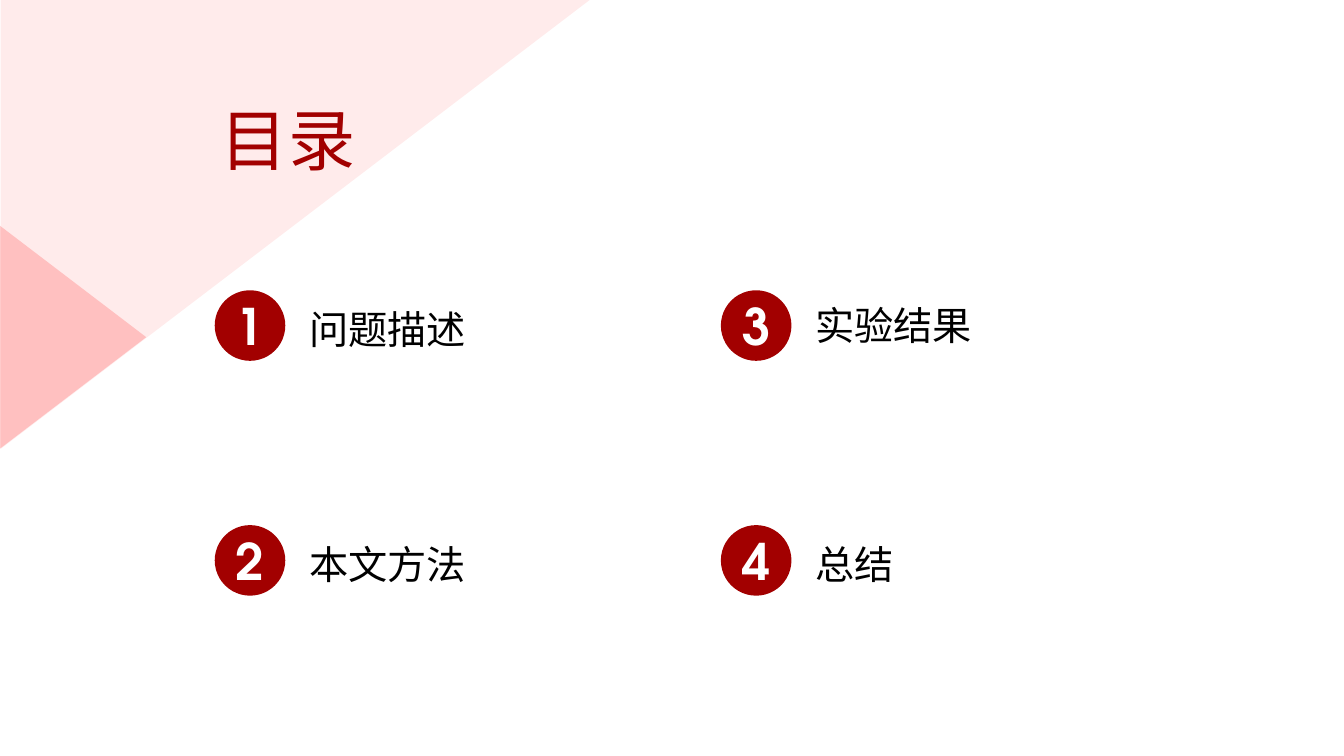
from lxml.etree import SubElement
from pptx import Presentation
from pptx.dml.color import RGBColor
from pptx.enum.shapes import MSO_SHAPE as Shape
from pptx.enum.text import MSO_ANCHOR as Anchor, MSO_AUTO_SIZE as Fit, PP_ALIGN as Align
from pptx.oxml.ns import qn
from pptx.util import Pt

PX = 9144  # 100 px to the inch
RED = RGBColor(0xA2, 0x00, 0x00)
TINT = RGBColor(0xFF, 0x00, 0x00)
WHITE = RGBColor(0xFF, 0xFF, 0xFF)
BLACK = RGBColor(0x00, 0x00, 0x00)
SERIF = "Times New Roman"
ROUND = "TeX Gyre Adventor"

ITEMS = ["问题描述", "本文方法", "实验结果", "总结"]
ROWS = 2
LEFT, TOP = 213, 288
COL, ROW = 502, 233
DOT = 70


def px(*nums):
    return [n * PX for n in nums]


def write(shape, text, size, color, font=SERIF, bold=False,
          align=Align.JUSTIFY, anchor=Anchor.TOP, fit=Fit.SHAPE_TO_FIT_TEXT):
    frame = shape.text_frame
    frame.word_wrap = True
    frame.auto_size = fit
    frame.vertical_anchor = anchor
    para = frame.paragraphs[0]
    para.text = text
    para.alignment = align
    face = para.font
    face.name, face.size, face.bold = font, Pt(size), bold
    face.color.rgb = color


class Deck:
    def __init__(self):
        self.prs = Presentation()
        self.prs.slide_width, self.prs.slide_height = px(1333, 750)
        self.slide = self.prs.slides.add_slide(self.prs.slide_layouts[5])
        self.shapes = self.slide.shapes

    def shape(self, kind, box, color):
        item = self.shapes.add_shape(kind, *px(*box))
        item.shadow.inherit = False
        item.fill.solid()
        item.fill.fore_color.rgb = color
        item.line.fill.background()
        return item

    def wedge(self, kind, box, alpha):
        """Add a see-through triangle, turned a quarter; alpha is in percent."""
        item = self.shape(kind, box, TINT)
        item.rotation = 90
        tone = item.element.spPr.find(f"{qn('a:solidFill')}/{qn('a:srgbClr')}")
        SubElement(tone, qn("a:alpha"), val=str(alpha * 1000))

    def title(self, text, box):
        head = self.shapes.title
        head.left, head.top, head.width, head.height = px(*box)
        write(head, text, 48, RED)
        # Bring the title in front of the wedges
        head.element.getparent().append(head.element)

    def badge(self, num, x, y):
        dot = self.shape(Shape.OVAL, (x, y, DOT, DOT), RED)
        write(dot, str(num), 36, WHITE, font=ROUND, bold=True,
              align=Align.CENTER, anchor=Anchor.MIDDLE, fit=Fit.NONE)

    def label(self, text, x, y):
        box = self.shapes.add_textbox(*px(x, y, 405, 57))
        write(box, text, 28, BLACK)


def main():
    deck = Deck()
    deck.wedge(Shape.RIGHT_TRIANGLE, (70, -70, 446, 585), 8)
    deck.wedge(Shape.ISOSCELES_TRIANGLE, (-38, 262, 221, 145), 18)
    deck.title("目录", (209, 93, 190, 91))
    for i, text in enumerate(ITEMS):
        col, row = divmod(i, ROWS)
        x, y = LEFT + col * COL, TOP + row * ROW
        deck.badge(i + 1, x, y)
        # The third label sits slightly higher than the rest
        deck.label(text, x + 84, y + (6 if i == 2 else 10))
    deck.prs.save("out.pptx")


if __name__ == "__main__":
    main()
